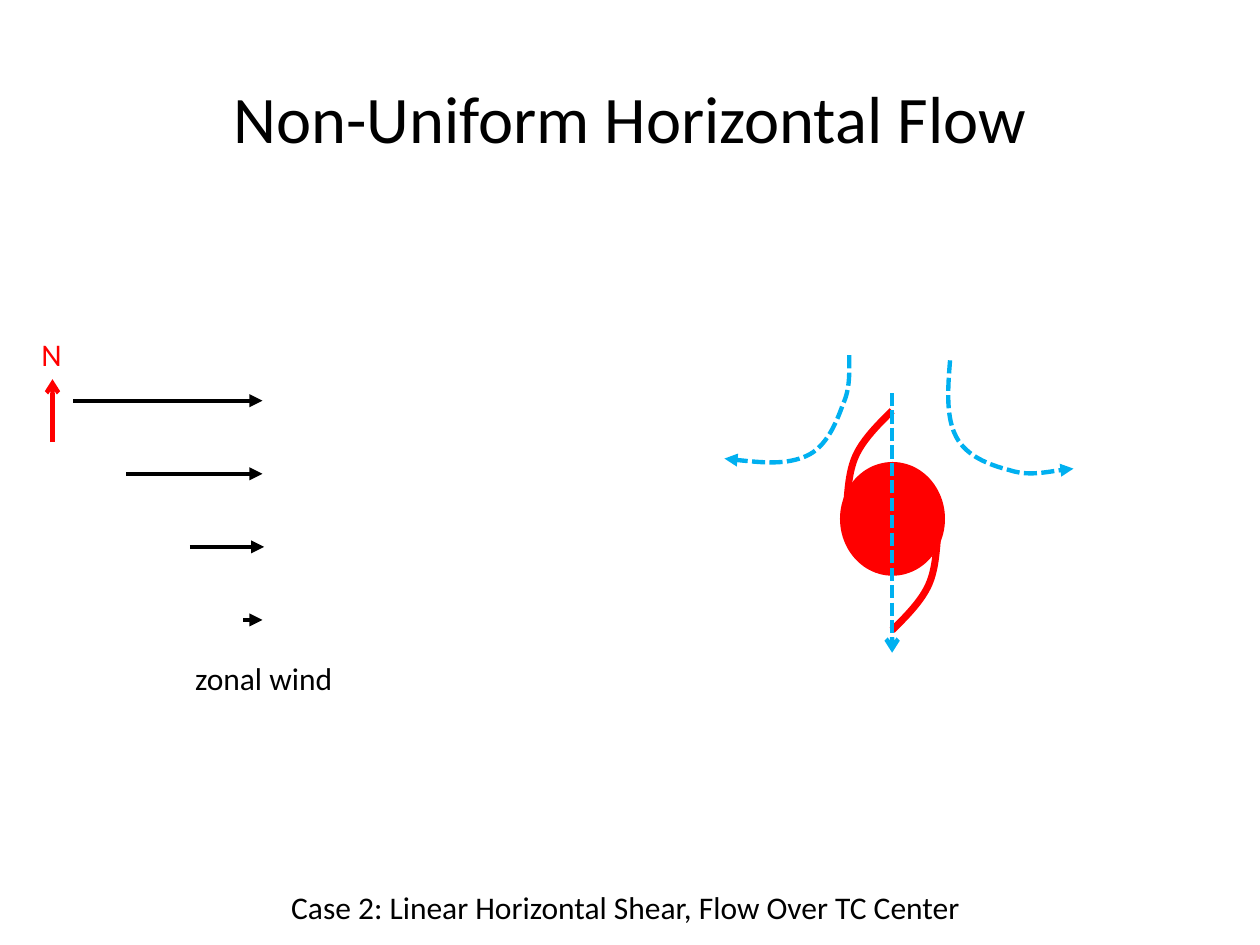
from lxml import etree
from pptx import Presentation
from pptx.dml.color import RGBColor
from pptx.enum.dml import MSO_LINE
from pptx.enum.shapes import MSO_CONNECTOR, MSO_SHAPE
from pptx.enum.text import MSO_ANCHOR, MSO_AUTO_SIZE, PP_ALIGN
from pptx.oxml.ns import qn
from pptx.util import Pt

DASH = MSO_LINE.SQUARE_DOT
STRAIGHT = MSO_CONNECTOR.STRAIGHT
OVAL = MSO_SHAPE.OVAL
MIDDLE, TOP = MSO_ANCHOR.MIDDLE, MSO_ANCHOR.TOP
FIT, FIXED = MSO_AUTO_SIZE.SHAPE_TO_FIT_TEXT, MSO_AUTO_SIZE.NONE
LEFT, CENTER = PP_ALIGN.LEFT, PP_ALIGN.CENTER

COLORS = {"ink": "000000", "storm": "FF0000", "flow": "00B0F0"}

# Formats of the text boxes
TITLE = {"word_wrap": True, "auto_size": FIXED, "vertical_anchor": MIDDLE}
LABEL = {"word_wrap": False, "auto_size": FIT, "vertical_anchor": TOP}

# Zonal wind: start and end of each arrow, north to south
WINDS = [(42, 150), (72, 150), (108.5, 151), (139, 150)]
WIND_TOP, WIND_STEP = 229, 41.75

# Curves: a start point, then three Bezier points for each segment
CORE = (509.8, 297.4)
ARM = [(483.8, 288.7), (484.6, 278.6), (485.3, 267.8), (489.6, 259.2),
       (493.9, 250.6), (501.8, 242.6), (509.8, 234.7)]
WEST = [(485.3, 203), (485.3, 212.4), (486, 221.8), (481.7, 231.1),
        (478.1, 241.2), (472.3, 255.6), (460.8, 260.6),
        (449.3, 265.7), (432, 264.2), (414, 262.1)]
EAST = [(542.9, 205.9), (541.4, 223.9), (540.7, 239), (546.5, 249.8),
        (552.2, 260.6), (565.2, 265.7), (576.7, 268.6),
        (587.5, 272.2), (604.1, 268.6), (613.4, 267.8)]


def tint(name):
    return RGBColor.from_string(COLORS[name])


def stroke(shape, color, width=2.5, dash=None, tip=None):
    shape.line.color.rgb = tint(color)
    shape.line.width = Pt(width)
    if dash:
        shape.line.dash_style = dash
    if tip:
        ln = shape.line._get_or_add_ln()
        etree.SubElement(ln, qn("a:tailEnd"), type=tip)


def add_text(slide, text, box, form, size=18, color="ink", align=LEFT):
    shape = slide.shapes.add_textbox(*map(Pt, box))
    frame = shape.text_frame
    for key, value in form.items():
        setattr(frame, key, value)
    para = frame.paragraphs[0]
    para.text, para.alignment = text, align
    look = {"name": "Calibri", "size": Pt(size)}
    for key, value in look.items():
        setattr(para.font, key, value)
    para.font.color.rgb = tint(color)


def add_arrow(slide, start, end, color, **style):
    line = slide.shapes.add_connector(STRAIGHT, *map(Pt, start + end))
    stroke(line, color, **style)
    etree.SubElement(line._element.spPr, qn("a:effectLst"))


def add_curve(shapes, points, color, **style):
    dots = [(Pt(x), Pt(y)) for x, y in points]
    pen = shapes.build_freeform(*dots[0])
    pen.add_line_segments(dots[1:], close=False)
    curve = pen.convert_to_shape()
    # Turn each three line points into one Bezier segment
    track = curve._element.find(".//" + qn("a:path"))
    steps = track.findall(qn("a:lnTo"))
    for i in range(0, len(steps), 3):
        bend = etree.SubElement(track, qn("a:cubicBezTo"))
        for step in steps[i:i + 3]:
            bend.append(step[0])
            track.remove(step)
    curve.fill.background()
    curve.shadow.inherit = False
    stroke(curve, color, **style)


def add_storm(slide):
    parts = slide.shapes.add_group_shape().shapes
    eye = parts.add_shape(OVAL, *map(Pt, (480, 264, 60, 65)))
    eye.fill.solid()
    eye.fill.fore_color.rgb = tint("storm")
    eye.line.fill.background()
    eye.shadow.inherit = False
    # The second arm is the first, turned half round the core
    turned = [(2 * CORE[0] - x, 2 * CORE[1] - y) for x, y in ARM]
    for arm in (ARM, turned):
        add_curve(parts, arm, "storm", width=4)


def main():
    deck = Presentation()
    deck.slide_width, deck.slide_height = Pt(720), Pt(540)
    slide = deck.slides.add_slide(deck.slide_layouts[6])

    add_text(slide, "Non-Uniform Horizontal Flow", (36, 21.6, 648, 90),
             TITLE, size=38, align=CENTER)

    # Zonal wind and north mark
    for i, (start, end) in enumerate(WINDS):
        y = WIND_TOP + i * WIND_STEP
        add_arrow(slide, (start, y), (end, y), "ink", tip="triangle")
    add_arrow(slide, (30, 252.7), (30, 216.7), "storm", tip="arrow")
    add_text(slide, "N", (16.6, 188, 26, 29), LABEL, color="storm")
    add_text(slide, "zonal wind", (104.4, 373, 93.6, 29), LABEL)

    # Storm and the flow round and over it
    add_storm(slide)
    for side in (WEST, EAST):
        add_curve(slide.shapes, side, "flow", dash=DASH, tip="triangle")
    add_text(slide, "Case 2: Linear Horizontal Shear, Flow Over TC Center",
             (157, 504, 401, 29), LABEL, align=CENTER)
    add_arrow(slide, (509.8, 224.6), (509.8, 373), "flow",
              dash=DASH, tip="arrow")

    deck.save("out.pptx")


if __name__ == "__main__":
    main()
